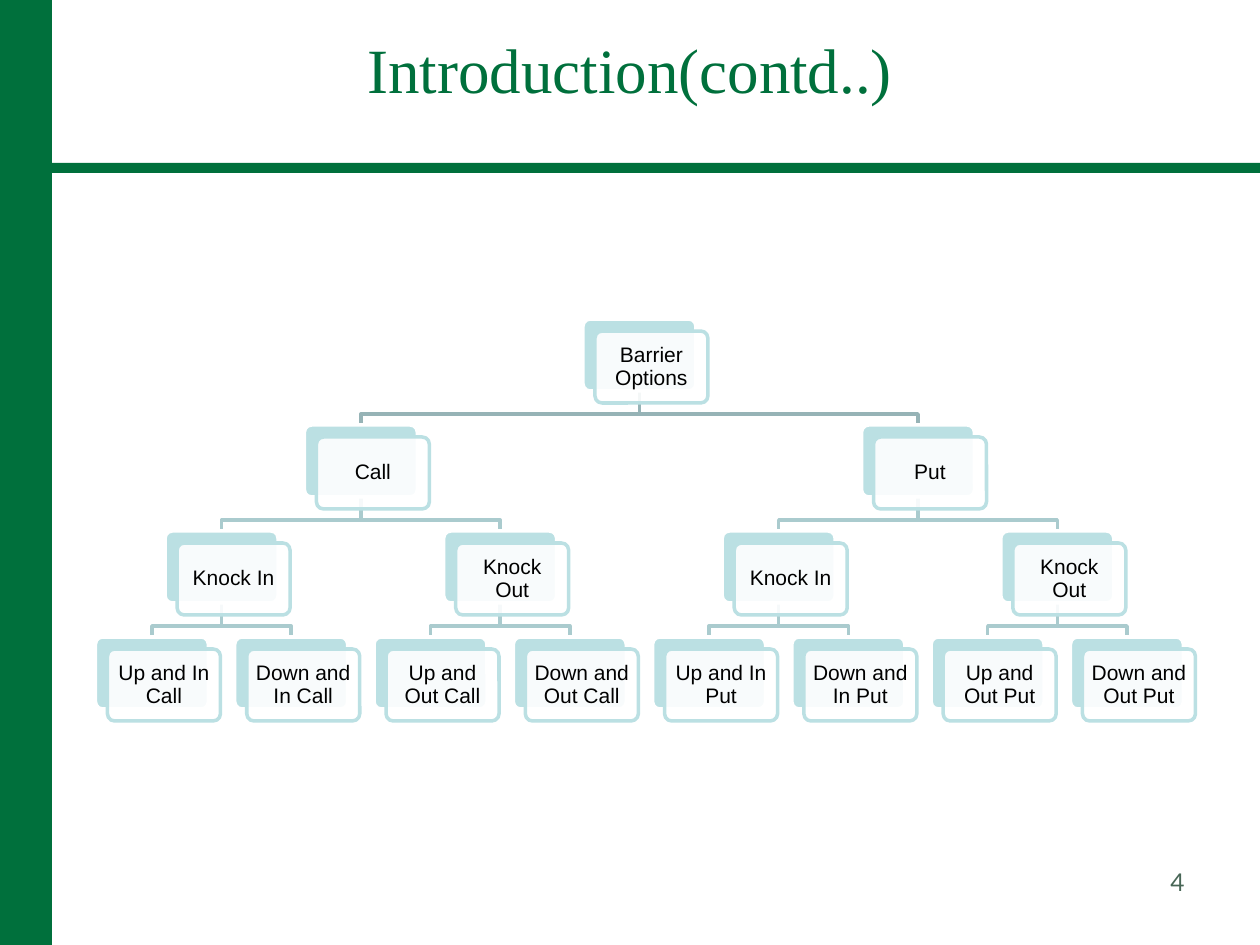
import pptx
import pptx.util
import pptx.dml.color
import pptx.enum.shapes
import pptx.enum.text
import pptx.oxml.ns
from lxml import etree

PX = 914400 / 126
GREEN = "00703C"
TEAL = "BBE0E3"
WHITE = "FFFFFF"
BOX_W, BOX_H = 113, 72
FRONT_SHIFT = 12
LEAF_X, LEAF_SPAN, LEAF_COUNT = 152, 975, 8
TOP_Y, LEVEL_GAP = 319, 106
ALIGN = pptx.enum.text.PP_ALIGN
ANCHOR = pptx.enum.text.MSO_ANCHOR
SHAPE = pptx.enum.shapes.MSO_SHAPE


def emu(px):
    return pptx.util.Emu(round(px * PX))


def color(value):
    return pptx.dml.color.RGBColor.from_string(value)


def set_line(sp, value):
    sp.line.color.rgb = color(value)
    sp.line.width = pptx.util.Pt(2)


def add_box(s, kind, x, y, w, h, fill):
    sp = s.shapes.add_shape(kind, emu(x), emu(y), emu(w), emu(h))
    sp.shadow.inherit = False
    sp.fill.solid()
    sp.fill.fore_color.rgb = color(fill)
    sp.line.fill.background()
    return sp


def write(sp, text, font, size, value, align, anchor):
    tf = sp.text_frame
    tf.word_wrap = True
    tf.vertical_anchor = anchor
    p = tf.paragraphs[0]
    p.alignment = align
    r = p.add_run()
    r.text = text
    r.font.name = font
    r.font.size = pptx.util.Pt(size)
    r.font.color.rgb = color(value)
    return tf


def add_text(s, x, y, w, h, *style):
    write(s.shapes.add_textbox(emu(x), emu(y), emu(w), emu(h)), *style)


def add_elbow(s, x1, y1, x2, y2, value):
    bend = y2 - 11
    points = [(emu(x), emu(y)) for x, y in [(x1, bend), (x2, bend), (x2, y2)]]
    builder = s.shapes.build_freeform(emu(x1), emu(y1))
    builder.add_line_segments(points, close=False)
    sp = builder.convert_to_shape()
    sp.shadow.inherit = False
    sp.fill.background()
    set_line(sp, value)


def add_node(s, x, y, text):
    left = x - BOX_W / 2
    back = add_box(s, SHAPE.ROUNDED_RECTANGLE, left, y, BOX_W, BOX_H, TEAL)
    front = add_box(s, SHAPE.ROUNDED_RECTANGLE, left + FRONT_SHIFT,
                    y + FRONT_SHIFT, BOX_W, BOX_H, WHITE)
    for sp, line in [(back, WHITE), (front, TEAL)]:
        sp.adjustments[0] = 0.1
        set_line(sp, line)
    fill = front.fill.fore_color._xFill.find(pptx.oxml.ns.qn("a:srgbClr"))
    etree.SubElement(fill, pptx.oxml.ns.qn("a:alpha"), val="90000")
    tf = write(front, text, "Arial", 12, "000000", ALIGN.CENTER, ANCHOR.MIDDLE)
    tf.margin_left = tf.margin_right = tf.margin_top = tf.margin_bottom = emu(6)
    tf.paragraphs[0].line_spacing = 0.9


def add_tree(s, levels):
    def center(level, i):
        span = LEAF_COUNT // len(levels[level])
        return LEAF_X + (i * span + (span - 1) / 2) * LEAF_SPAN / (LEAF_COUNT - 1)

    def top(level):
        return TOP_Y + level * LEVEL_GAP

    for level in range(1, len(levels)):
        line = "96B3B6" if level == 1 else "AACBCE"
        for i in range(len(levels[level])):
            add_elbow(s, center(level - 1, i // 2), top(level - 1) + BOX_H,
                      center(level, i), top(level), line)
    for level, names in enumerate(levels):
        for i, name in enumerate(names):
            add_node(s, center(level, i), top(level), name)


def main():
    prs = pptx.Presentation()
    prs.slide_width, prs.slide_height = emu(1260), emu(945)
    s = prs.slides.add_slide(prs.slide_layouts[6])
    add_box(s, SHAPE.RECTANGLE, 0, 0, 52, 945, GREEN)
    add_box(s, SHAPE.RECTANGLE, 52, 163, 1208, 10, GREEN)
    add_text(s, 63, 0, 1134, 136, "Introduction(contd..)", "Times New Roman", 36,
             GREEN, ALIGN.CENTER, ANCHOR.MIDDLE)
    add_text(s, 903, 861, 294, 66, "4", "Lato", 14, "486656",
             ALIGN.RIGHT, ANCHOR.TOP)
    sides = ["Call", "Put"]
    knocks = ["In", "Out"]
    add_tree(s, [
        ["Barrier Options"],
        sides,
        [f"Knock {knock}" for side in sides for knock in knocks],
        [f"{way} and {knock} {side}" for side in sides for knock in knocks
         for way in ["Up", "Down"]],
    ])
    prs.save("out.pptx")


if __name__ == "__main__":
    main()
